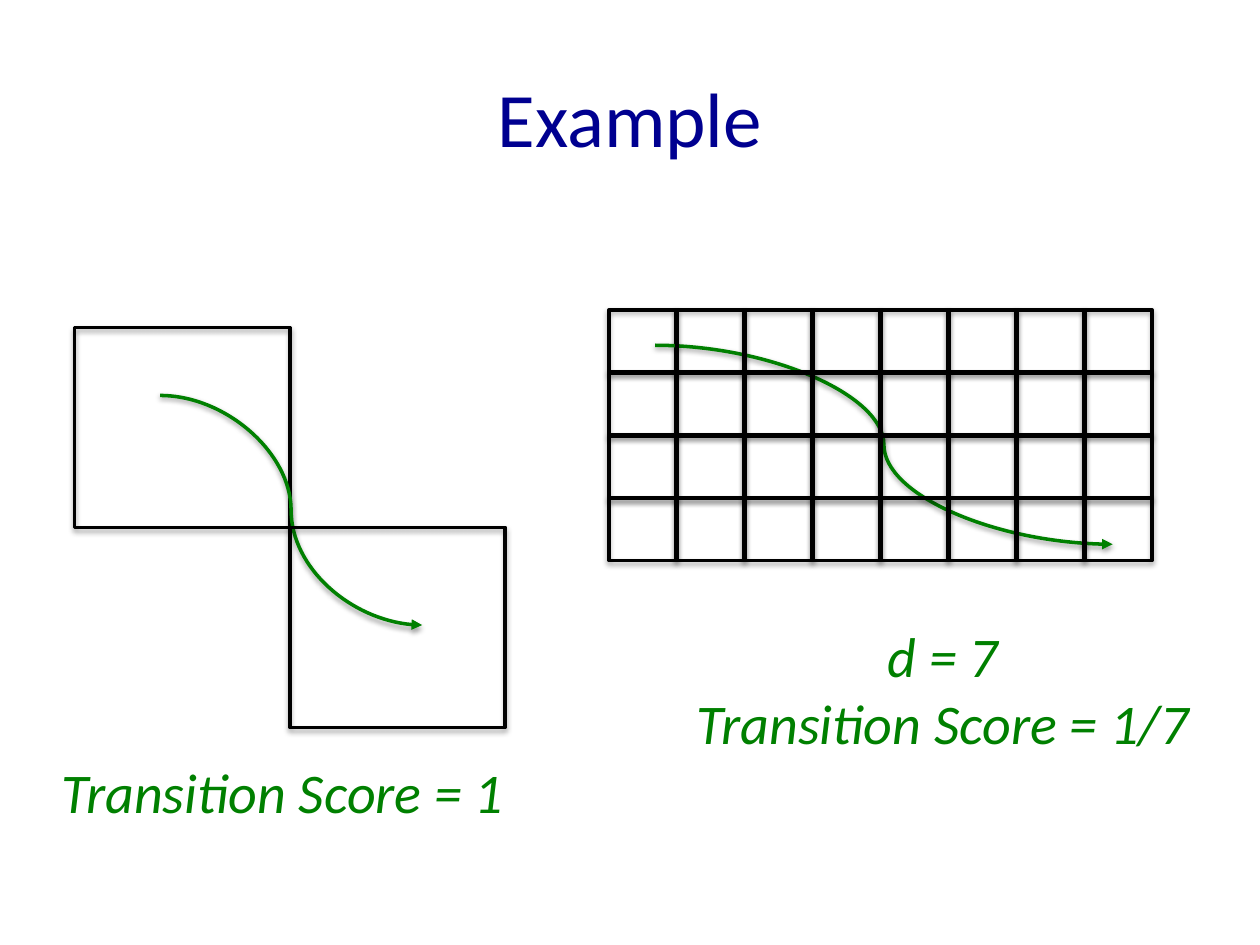
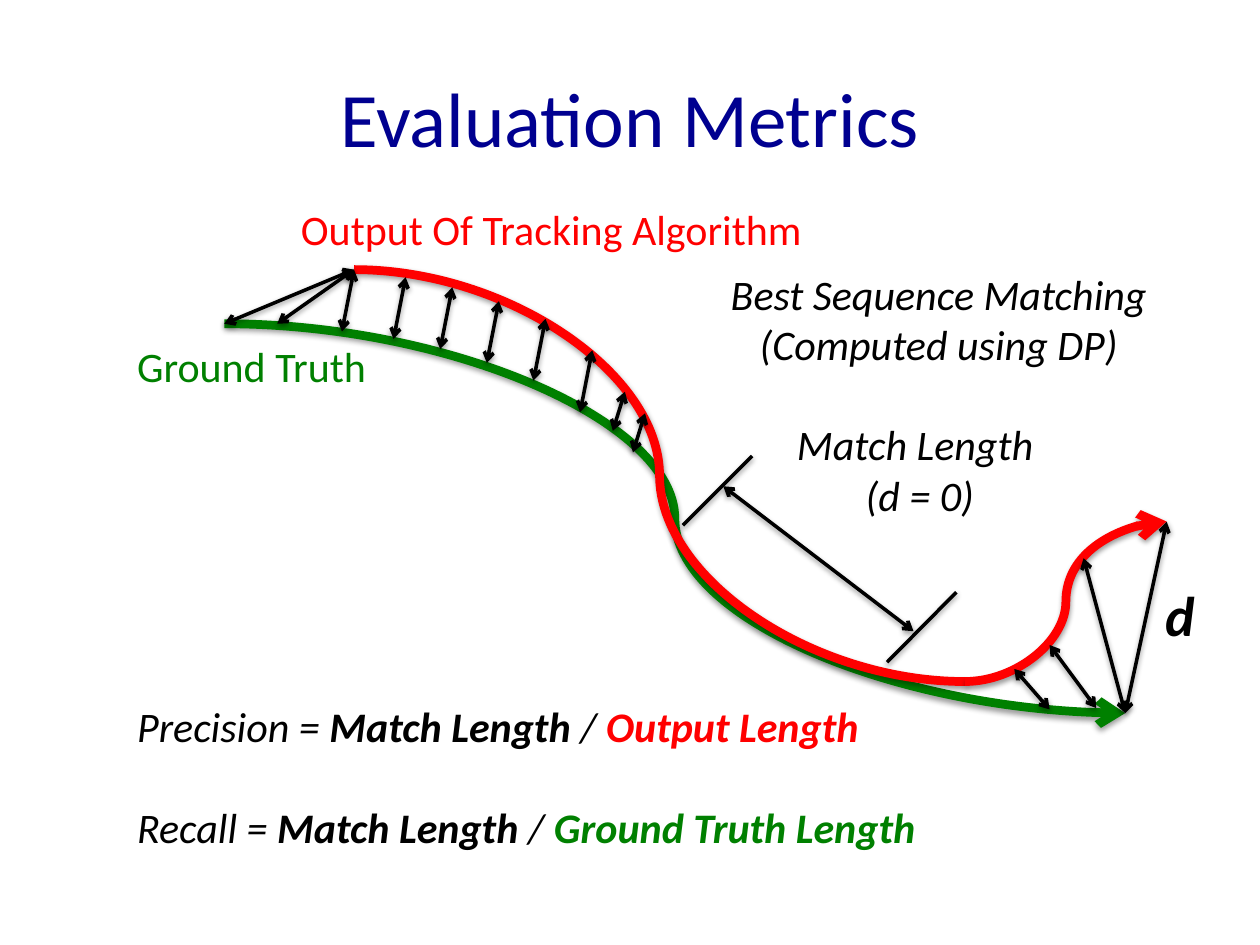
"""Build two slides on scoring transitions and tracking metrics."""
from lxml import etree
from pptx import Presentation
from pptx.dml.color import RGBColor
from pptx.enum import shapes, text
from pptx.oxml import ns
from pptx.util import Pt

FONT = "Calibri"
NAVY, GREEN, RED, BLACK = "000090", "008000", "FF0000", "000000"
LEFT, MID = text.PP_ALIGN.LEFT, text.PP_ALIGN.CENTER
SHADE = ('<a:effectLst xmlns:a="http://schemas.openxmlformats.org/drawingml/2006/main">'
         '<a:outerShdw blurRad="40000" dist="{}" dir="5400000" rotWithShape="0">'
         '<a:srgbClr val="000000"><a:alpha val="{}"/></a:srgbClr>'
         '</a:outerShdw></a:effectLst>')


def write(slide, box, paras, size, align=LEFT, gap=0):
    """Add a text box; each paragraph is a list of (words, colour, style) runs."""
    frame = slide.shapes.add_textbox(*map(Pt, box)).text_frame
    frame.word_wrap = False
    for i, runs in enumerate(paras):
        para = frame.add_paragraph() if i else frame.paragraphs[0]
        para.alignment = align
        if i and gap:
            para.space_before = Pt(gap)
        for words, color, style in runs:
            run = para.add_run()
            run.text = words
            run.font.name = FONT
            run.font.size = Pt(size)
            run.font.bold = "b" in style
            run.font.italic = "i" in style
            run.font.color.rgb = RGBColor.from_string(color)
    return frame


def join(slide, ends, color=BLACK, width=2, curve=False, head=None, tail=None):
    """Add a shadowed line or curve with optional arrowheads."""
    kind = shapes.MSO_CONNECTOR.CURVE if curve else shapes.MSO_CONNECTOR.STRAIGHT
    link = slide.shapes.add_connector(kind, *map(Pt, ends))
    link.line.color.rgb = RGBColor.from_string(color)
    link.line.width = Pt(width)
    for tag, tip in (("a:headEnd", head), ("a:tailEnd", tail)):
        if tip:
            etree.SubElement(link.line._get_or_add_ln(), ns.qn(tag), type=tip)
    link._element.spPr.append(etree.fromstring(SHADE.format(20000, 38000)))


deck = Presentation()
deck.slide_width, deck.slide_height = Pt(720), Pt(540)
pages = []
for title in ("Example", "Evaluation Metrics"):
    page = deck.slides.add_slide(deck.slide_layouts[6])
    frame = write(page, (36, 21.6, 648, 90), [[(title, NAVY, "")]], 44, MID)
    frame.word_wrap = True
    frame.vertical_anchor = text.MSO_ANCHOR.MIDDLE
    pages.append(page)
demo, score = pages

pair = [(42.5 + 123.1 * i, 187.2 + 114.2 * i, 123.1, 114.3) for i in range(2)]
grid = [(347.9 + 38.87 * col, 177.2 + 35.9 * row, 38.4, 35.4)
        for row in range(4) for col in range(8)]
for route, boxes in (((91.5, 226, 241.2, 357.2), pair),
                     ((374.4, 197.3, 635.8, 311), grid)):
    for i, box in enumerate(boxes):
        cell = demo.shapes.add_shape(shapes.MSO_SHAPE.RECTANGLE, *map(Pt, box))
        cell.fill.background()
        cell.line.color.rgb = RGBColor.from_string(BLACK)
        cell.line.width = Pt(2)
        cell._element.spPr.append(etree.fromstring(SHADE.format(23000, 35000)))
        if i == 0:
            join(demo, route, GREEN, curve=True, tail="triangle")

write(demo, (28.1, 429.1, 277.2, 46), [[("Transition Score = 1", GREEN, "i")]], 32)
write(demo, (385.9, 351.4, 306, 85),
      [[("d = 7", GREEN, "i")], [("Transition Score = 1/7", GREEN, "i")]], 32, MID)

truth, goal = (128.2, 185), (643, 407.5)
start, dip, end = (202.3, 154.1), (551.5, 389.5), (666.7, 298.1)
for ends, color, tip in ((truth + goal, GREEN, "arrow"),
                         (start + dip, RED, None),
                         (dip + end, RED, "arrow")):
    join(score, ends, color, 5, True, tail=tip)

for tick in ((429.8, 260.6, 390.2, 300.2), (546.5, 338.4, 506.9, 378.4)):
    join(score, tick)

rungs = [(231.8 + 26.65 * i, top, 35.3)
         for i, top in enumerate((158.4, 164.2, 172.1, 182.2, 200.2))]
rungs += [start + (35.3,), (357.1, 223.9, 22.3), (368.6, 236.2, 22.3)]
spans = [(x, y, x - 6.9, y + drop) for x, y, drop in rungs]
spans += [(413.3, 277.9, 522, 360.7), start + truth, start + (158.4, 185),
          (579.6, 382.3, 599.8, 405.4), (599.8, 368.6, 626.4, 404.6),
          (619.2, 319) + goal, end + goal]
for span in spans:
    join(score, span, head="arrow", tail="arrow")

write(score, (71.3, 190.8, 146.9, 36), [[("Ground Truth", GREEN, "")]], 24)
write(score, (164.9, 113, 303.8, 36),
      [[("Output Of Tracking Algorithm", RED, "")]], 24)
write(score, (406.1, 149.8, 260.6, 65.5),
      [[("Best Sequence Matching", BLACK, "i")],
       [("(Computed using DP)", BLACK, "i")]], 24, MID)
write(score, (447.1, 235.8, 157, 65.5),
      [[("Match Length ", BLACK, "i")], [("(d = 0)", BLACK, "i")]], 24, MID)
write(score, (658.8, 328.3, 39.6, 46), [[("d", BLACK, "bi")]], 32)
ratios = [[(name + " = ", BLACK, "i"), ("Match Length ", BLACK, "bi"),
           ("/ ", BLACK, "i"), (base, color, "bi")]
          for name, base, color in (("Precision", "Output Length", RED),
                                    ("Recall", "Ground Truth Length", GREEN))]
write(score, (71.3, 396.7, 469.4, 94.3), ratios, 24, gap=29)

deck.save("out.pptx")
